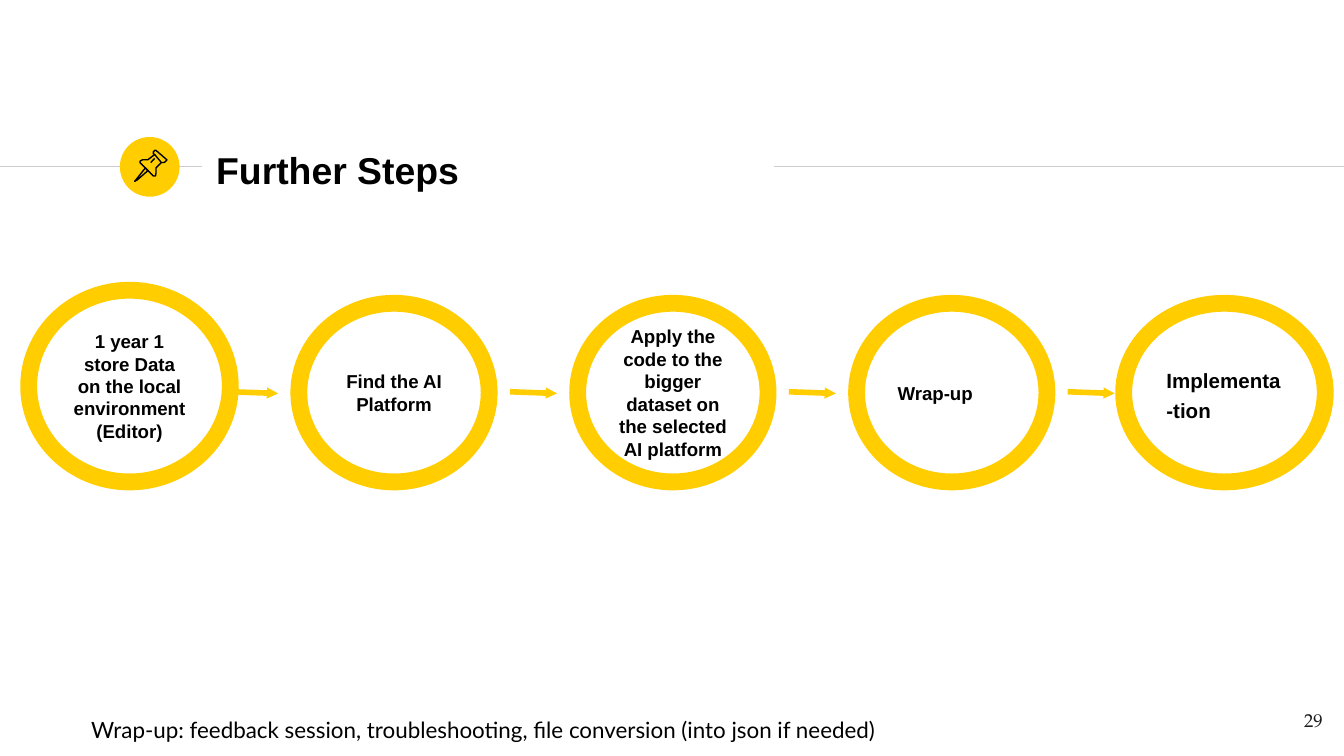
from dataclasses import dataclass

from lxml import etree
from pptx import Presentation
from pptx.dml.color import RGBColor
from pptx.enum.shapes import MSO_CONNECTOR as Connector, MSO_SHAPE as Shape
from pptx.enum.text import MSO_ANCHOR as Anchor, PP_ALIGN as Align
from pptx.oxml.ns import qn
from pptx.util import Pt


@dataclass(frozen=True)
class Theme:
    yellow: str = "FFCD00"
    rule: str = "CCCCCC"
    black: str = "000000"
    number: str = "1D1D1B"
    heading_font: str = "Arial"
    note_font: str = "Lato"
    number_font: str = "TeX Gyre Pagella"
    title_size: float = 20
    note_size: float = 12
    last_size: float = 11
    step_size: float = 10
    inset: float = 7.2


THEME = Theme()
PITCH = 149.4
PIN_OUTLINES = [
    ([(13.7, 16.6), (8.3, 23.4), (7.9, 23.8), (9.4, 23), (15.1, 18)], True),
    ([(18.7, 9.4), (22.3, 13.7), (23.8, 13.7), (25.2, 12.4), (25.2, 12.2),
      (19.4, 7.2), (18.7, 7.2), (18, 7.9), (18, 9)], True),
    ([(18.7, 9.4), (15.1, 12.2), (12.2, 12.2), (10.8, 13), (10.8, 13.7),
      (18, 20.9), (19.1, 20.9), (19.4, 19.4), (19.4, 16.6), (22.3, 13.7)], False),
    ([(16.6, 13.7), (18.7, 11.5)], False),
]


def color(value):
    return RGBColor.from_string(value)


def write_text(shape, text, size, font=THEME.heading_font, ink=THEME.black, bold=False,
               align=Align.LEFT, anchor=Anchor.MIDDLE, spacing=None, indent=0):
    frame = shape.text_frame
    frame.word_wrap = True
    frame.vertical_anchor = anchor
    frame.margin_left = frame.margin_right = Pt(THEME.inset)
    frame.margin_top = frame.margin_bottom = Pt(THEME.inset)
    paragraph = frame.paragraphs[0]
    paragraph.alignment = align
    if spacing:
        paragraph.line_spacing = Pt(spacing)
    if indent:
        paragraph._p.get_or_add_pPr().set("marL", str(Pt(indent)))
    run = paragraph.add_run()
    run.text = text
    run.font.size = Pt(size)
    run.font.name = font
    run.font.bold = bold
    run.font.color.rgb = color(ink)


def add_text(slide, box, text, **text_format):
    shape = slide.shapes.add_textbox(*map(Pt, box))
    write_text(shape, text, **text_format)


def add_line(slide, start, end, ink, width, arrow=False):
    connector = slide.shapes.add_connector(Connector.STRAIGHT, *map(Pt, start + end))
    connector.line.color.rgb = color(ink)
    connector.line.width = Pt(width)
    if arrow:
        etree.SubElement(connector.line._get_or_add_ln(), qn("a:tailEnd"),
                         type="triangle", w="sm", len="sm")
    etree.SubElement(connector._element.spPr, qn("a:effectLst"))


def add_ellipse(slide, box):
    shape = slide.shapes.add_shape(Shape.OVAL, *map(Pt, box))
    shape.shadow.inherit = False
    return shape


def add_badge(slide, box):
    left, top, width, height = box
    circle = add_ellipse(slide, box)
    circle.fill.solid()
    circle.fill.fore_color.rgb = color(THEME.yellow)
    circle.line.fill.background()
    for outline, closed in PIN_OUTLINES:
        points = [(Pt(left + x), Pt(top + y)) for x, y in outline]
        builder = slide.shapes.build_freeform(*points[0])
        builder.add_line_segments(points[1:], close=closed)
        part = builder.convert_to_shape()
        part.shadow.inherit = False
        part.fill.background()
        part.line.color.rgb = color(THEME.black)
        part.line.width = Pt(0.75)


def add_header(slide, box):
    left, top, width, height = box
    middle = top + 15.75
    for start, end in ((left, left + 108), (left + 414.7, left + width)):
        add_line(slide, (start, middle), (end, middle), THEME.rule, 0.75)
    add_badge(slide, (left + 64.2, top, 32, 32))
    add_text(slide, (left + 108.7, top, 305.6, height), "Further Steps",
             size=THEME.title_size, bold=True)


def add_step(slide, box, text, **text_format):
    ring = add_ellipse(slide, box)
    ring.fill.background()
    ring.line.color.rgb = color(THEME.yellow)
    ring.line.width = Pt(9)
    write_text(ring, text, bold=True, **text_format)


def add_process(slide, box):
    left, top, width, height = box
    ring_top, ring_height = top + 7, height - 7
    small = {"size": THEME.step_size}
    centered = {**small, "align": Align.CENTER}
    add_step(slide, (left, top, 108, height),
             "1 year 1 store Data on the local environment (Editor)", **centered)
    middle_steps = [
        ("Find the AI Platform", centered),
        ("Apply the code to the bigger dataset on the selected AI platform", centered),
        ("Wrap-up", small),
    ]
    for index, (text, text_format) in enumerate(middle_steps):
        step_left = left + 144.7 + index * PITCH
        add_step(slide, (step_left, ring_top, 102, ring_height), text, **text_format)
    add_step(slide, (left + width - 108, ring_top, 108, ring_height), "Implementa-tion",
             size=THEME.last_size, spacing=16)
    for index in range(len(middle_steps) + 1):
        start = left + 108.4 + index * PITCH
        add_line(slide, (start, top + 54.4), (start + 25.2, top + 55.3),
                 THEME.yellow, 3, arrow=True)


def add_footer(slide, box):
    left, top, width, height = box
    add_text(slide, (left, top + 2.9, 489.6, 26.6),
             "Wrap-up: feedback session, troubleshooting, file conversion (into json if needed)",
             size=THEME.note_size, font=THEME.note_font, anchor=Anchor.TOP, indent=36)
    add_text(slide, (left + width - 43.2, top, 43.2, height), "29", size=THEME.step_size,
             font=THEME.number_font, ink=THEME.number, align=Align.RIGHT, anchor=Anchor.TOP)


def main():
    presentation = Presentation()
    presentation.slide_width, presentation.slide_height = Pt(720), Pt(405)
    slide = presentation.slides.add_slide(presentation.slide_layouts[6])
    add_header(slide, (0, 73.4, 720, 34.6))
    add_process(slide, (15.4, 155.5, 694.6, 102.7))
    add_footer(slide, (5.8, 373.7, 709.9, 31))
    presentation.save("out.pptx")


if __name__ == "__main__":
    main()
